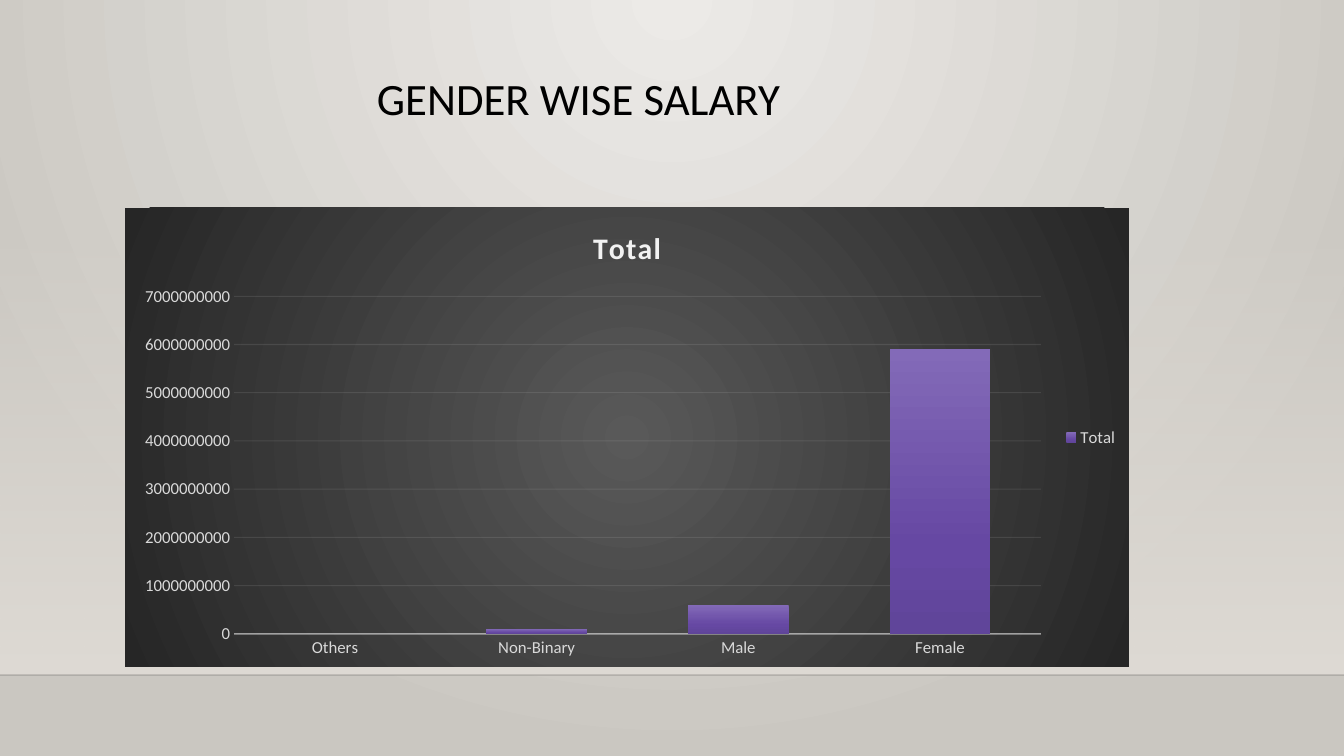
from lxml import etree
from pptx import Presentation
from pptx.chart.data import CategoryChartData
from pptx.dml.color import RGBColor
from pptx.enum.chart import XL_CHART_TYPE, XL_LEGEND_POSITION, XL_TICK_MARK
from pptx.enum.shapes import MSO_CONNECTOR, MSO_SHAPE
from pptx.enum.text import MSO_ANCHOR
from pptx.oxml import parse_xml
from pptx.oxml.ns import qn
from pptx.util import Pt

COLUMNS = XL_CHART_TYPE.COLUMN_CLUSTERED
LEGEND_RIGHT = XL_LEGEND_POSITION.RIGHT
NO_TICK = XL_TICK_MARK.NONE
RECTANGLE = MSO_SHAPE.RECTANGLE
STRAIGHT = MSO_CONNECTOR.STRAIGHT
TOP = MSO_ANCHOR.TOP

PX = 12192000 / 1344
FONT = "Calibri"
COLORS = {
    "wall_light": "ECEAE7", "wall_dark": "CAC7C1", "haze": "DFDBD5",
    "floor_line": "000001", "heading": "000000",
    "panel_light": "595959", "panel_dark": "262626",
    "bar_top": "836AB8", "bar_middle": "6648A3", "bar_bottom": "60459A",
    "label": "D9D9D9", "chart_line": "F2F2F2",
}
DOWNWARD = '<a:lin ang="5400000" scaled="0"/>'
FROM_TOP = '<a:path path="circle"><a:fillToRect l="43000" r="43000" b="100000"/></a:path>'
FROM_CENTRE = '<a:path path="circle"><a:fillToRect l="50000" t="50000" r="50000" b="50000"/></a:path>'


def px(*lengths):
    return [round(length * PX) for length in lengths]


def set_gradient(parent, stops, direction):
    """Swap the first solid fill in parent for stops of (percent, colour, opacity)."""
    marks = "".join(
        f'<a:gs pos="{pos * 1000}"><a:srgbClr val="{COLORS[color]}">'
        f'<a:alpha val="{opacity * 1000}"/></a:srgbClr></a:gs>'
        for pos, color, opacity in stops)
    gradient = parse_xml(
        '<a:gradFill xmlns:a="http://schemas.openxmlformats.org/drawingml/2006/main" '
        f'rotWithShape="1"><a:gsLst>{marks}</a:gsLst>{direction}</a:gradFill>')
    solid = next(parent.iter(qn("a:solidFill")))
    solid.getparent().replace(solid, gradient)


prs = Presentation()
prs.slide_width, prs.slide_height = px(1344, 756)
slide = prs.slides.add_slide(prs.slide_layouts[6])

# Background: wall, haze and floor line
slide.background.fill.solid()
slide.background.fill.fore_color.rgb = RGBColor.from_string(COLORS["wall_light"])
set_gradient(slide.element, [(0, "wall_light", 100), (100, "wall_dark", 100)], FROM_TOP)

haze = slide.shapes.add_shape(RECTANGLE, *px(0, 223, 1344, 452))
haze.shadow.inherit = False
haze.line.fill.background()
haze.fill.solid()
haze.fill.fore_color.rgb = RGBColor.from_string(COLORS["haze"])
set_gradient(haze.element, [(0, "haze", 0), (100, "haze", 100)], DOWNWARD)

floor_line = slide.shapes.add_connector(STRAIGHT, *px(0, 675, 1344, 675))
floor_line.line.width = Pt(1)
floor_line.line.color.rgb = RGBColor.from_string(COLORS["floor_line"])
etree.SubElement(floor_line.element.spPr, qn("a:effectLst"))

# Heading
heading = slide.shapes.add_textbox(*px(367, 72, 900, 116)).text_frame
heading.word_wrap = True
heading.vertical_anchor = TOP
heading_line = heading.paragraphs[0]
heading_line.text = "GENDER WISE SALARY"
heading_line.line_spacing = 0.9

# Salary chart
salaries = CategoryChartData()
salaries.categories = ["Others", "Non-Binary", "Male", "Female"]
salaries.add_series("Total", [0, 100000000, 600000000, 5900000000])
chart = slide.shapes.add_chart(COLUMNS, *px(125, 208, 1004, 459), salaries).chart
chart.has_title = True
chart_title = chart.chart_title.text_frame
chart_title.text = "Total"
chart.has_legend = True
chart.legend.position = LEGEND_RIGHT
chart.legend.include_in_layout = False

# Axes
genders, amounts = chart.category_axis, chart.value_axis
for axis in (genders, amounts):
    axis.major_tick_mark = axis.minor_tick_mark = NO_TICK
amounts.minimum_scale, amounts.maximum_scale = 0, 7000000000
amounts.major_unit = 1000000000
amounts.tick_labels.number_format = "General"
amounts.tick_labels.number_format_is_linked = False
amounts.has_major_gridlines = True
amounts.format.line.fill.background()
for line, width in ((genders.format.line, 1), (amounts.major_gridlines.format.line, 0.75)):
    line.width = Pt(width)
    line.color.rgb = RGBColor.from_string(COLORS["chart_line"])

# Fonts
fonts = [
    (heading_line.runs[0].font, 32, "heading", False),
    (chart.font, 10, "heading", False),
    (chart_title.paragraphs[0].runs[0].font, 21.3, "chart_line", True),
    (genders.tick_labels.font, 12, "label", False),
    (amounts.tick_labels.font, 12, "label", False),
    (chart.legend.font, 12, "label", False),
]
for font, size, color, bold in fonts:
    for name, value in {"name": FONT, "size": Pt(size), "bold": bold}.items():
        setattr(font, name, value)
    font.color.rgb = RGBColor.from_string(COLORS[color])
chart.element.xpath(".//c:title//a:rPr")[0].set("spc", "100")

# Bars
bars = chart.plots[0]
bars.vary_by_categories = False
bars.gap_width, bars.overlap = 100, -24
totals = bars.series[0]
totals.invert_if_negative = False
totals.format.fill.solid()
totals.format.fill.fore_color.rgb = RGBColor.from_string(COLORS["bar_top"])
set_gradient(chart.element.xpath(".//c:ser/c:spPr")[0],
             [(0, "bar_top", 100), (69, "bar_middle", 100), (100, "bar_bottom", 100)], DOWNWARD)

# Dark chart panel
panel = etree.Element(qn("c:spPr"))
etree.SubElement(panel, qn("a:solidFill"))
etree.SubElement(etree.SubElement(panel, qn("a:ln")), qn("a:noFill"))
set_gradient(panel, [(0, "panel_light", 100), (100, "panel_dark", 100)], FROM_CENTRE)
chart.element.find(qn("c:chart")).addnext(panel)

# Line transparency
for root, lines, opacity in (
    (floor_line.element, ".//a:ln//a:srgbClr", 20),
    (chart.element, ".//c:catAx/c:spPr//a:srgbClr", 54),
    (chart.element, ".//c:majorGridlines//a:srgbClr", 10),
):
    for color in root.xpath(lines):
        etree.SubElement(color, qn("a:alpha")).set("val", str(opacity * 1000))

prs.save("out.pptx")
